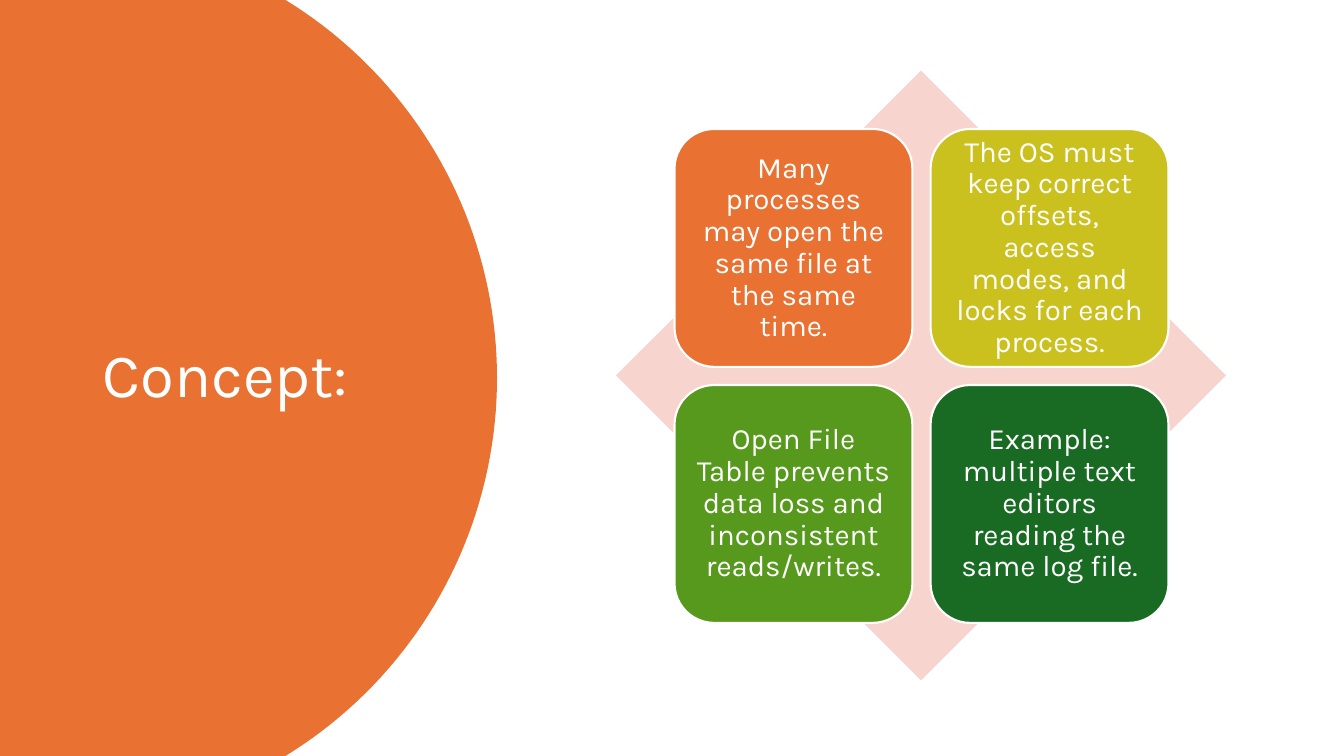
from math import asin, cos, sin

from pptx import Presentation
from pptx.dml.color import RGBColor
from pptx.enum.shapes import MSO_SHAPE as SHAPE
from pptx.enum.text import MSO_ANCHOR as ANCHOR, MSO_AUTO_SIZE as AUTO, PP_ALIGN as ALIGN
from pptx.util import Inches, Pt


def paint(fill, color):
    fill.solid()
    fill.fore_color.rgb = RGBColor.from_string(color)


def write(tf, text, size, align):
    tf.text = text
    tf.word_wrap = True
    tf.auto_size = AUTO.NONE
    tf.vertical_anchor = ANCHOR.MIDDLE
    p = tf.paragraphs[0]
    p.alignment = align
    p.line_spacing = 0.9
    font = p.runs[0].font
    font.name = "Karla"
    font.size = Pt(size)
    paint(font.fill, "FFFFFF")


prs = Presentation()
prs.slide_width = Inches(13.33)
prs.slide_height = Inches(7.5)
s = prs.slides.add_slide(prs.slide_layouts[5])

# Title
title = s.shapes.title
title.left, title.top = Inches(0.92), Inches(0.7)
title.width, title.height = Inches(3.23), Inches(6.09)
write(title.text_frame, "Concept:", 44, ALIGN.LEFT)

# Left panel: a circle cut off by the slide edges, behind the title
CENTER_X, CENTER_Y, RADIUS, STEPS = 0.53, 3.75, 4.4, 80
half_angle = asin(CENTER_Y / RADIUS)
angles = [half_angle * (2 * i / STEPS - 1) for i in range(STEPS + 1)]
arc = [(Inches(CENTER_X + RADIUS * cos(a)), Inches(CENTER_Y + RADIUS * sin(a)))
       for a in angles]
builder = s.shapes.build_freeform(0, 0)
builder.add_line_segments(arc + [(0, Inches(7.5))], close=True)
panel = builder.convert_to_shape()
panel.shadow.inherit = False
paint(panel.fill, "E97132")
panel.line.fill.background()
title.element.addprevious(panel.element)

# Diamond behind the cards
matrix = s.shapes.add_group_shape()
diamond = matrix.shapes.add_shape(
    SHAPE.DIAMOND, Inches(6.11), Inches(0.7), Inches(6.05), Inches(6.05))
diamond.shadow.inherit = False
paint(diamond.fill, "F7D5CE")
diamond.line.fill.background()

# Two by two cards
cards = [
    ("Many processes may open the same file at the same time.", "E97132"),
    ("The OS must keep correct offsets, access modes, and locks for each process.", "CBC11E"),
    ("Open File Table prevents data loss and inconsistent reads/writes.", "56991D"),
    ("Example: multiple text editors reading the same log file.", "196B24"),
]
LEFT, TOP, SIZE, PITCH = 6.69, 1.28, 2.36, 2.54
for i, (text, color) in enumerate(cards):
    row, col = divmod(i, 2)
    card = matrix.shapes.add_shape(
        SHAPE.ROUNDED_RECTANGLE, Inches(LEFT + col * PITCH), Inches(TOP + row * PITCH),
        Inches(SIZE), Inches(SIZE))
    card.shadow.inherit = False
    paint(card.fill, color)
    paint(card.line.fill, "FFFFFF")
    card.line.width = Pt(1.5)
    tf = card.text_frame
    tf.margin_left = tf.margin_right = tf.margin_top = tf.margin_bottom = Inches(0.09)
    write(tf, text, 21, ALIGN.CENTER)

prs.save("out.pptx")
